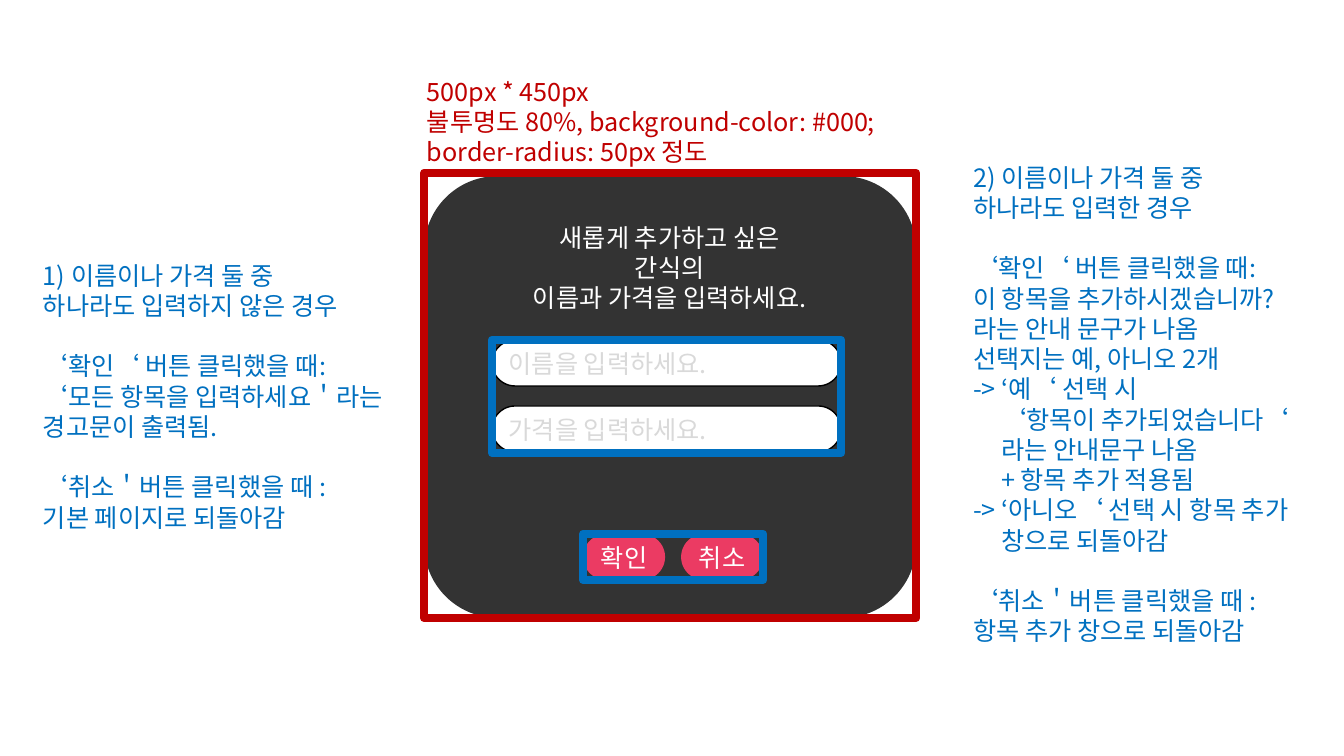
from pptx import Presentation, util as u
from pptx.dml.color import RGBColor
from pptx.enum import shapes, text
from pptx.oxml.ns import qn
from lxml import etree

PX = 9071
THEME = dict(font="Noto Sans CJK KR", size=18, gap=21.6, indent=28,
             black="000000", white="FFFFFF", hint="D9D9D9",
             pink="EB3B63", red="C00000", blue="0070C0")
LEFT, CENTER = text.PP_ALIGN.LEFT, text.PP_ALIGN.CENTER
RECT, ROUND = shapes.MSO_SHAPE.RECTANGLE, shapes.MSO_SHAPE.ROUNDED_RECTANGLE

prs = Presentation()
prs.slide_width, prs.slide_height = u.Inches(13.33), u.Inches(7.5)
s = prs.slides.add_slide(prs.slide_layouts[6])


def write(sp, lines, color, align=LEFT, anchor=text.MSO_ANCHOR.TOP, wrap=True):
    tf = sp.text_frame
    for key, value in dict(word_wrap=wrap, vertical_anchor=anchor).items():
        setattr(tf, key, value)
    gap = False
    for line in lines:
        if not line:
            gap = True
            continue
        p = tf.paragraphs[0] if not tf.text else tf.add_paragraph()
        p.alignment = align
        if gap:
            p.space_before = u.Pt(THEME["gap"])
            gap = False
        if line.startswith("\t"):
            p._p.get_or_add_pPr().set("marL", str(THEME["indent"] * PX))
        r = p.add_run()
        r.text = line.strip()
        for key, value in dict(name=THEME["font"], size=u.Pt(THEME["size"])).items():
            setattr(r.font, key, value)
        r.font.color.rgb = RGBColor.from_string(THEME[color])
        etree.SubElement(r._r.get_or_add_rPr(), qn("a:ea")).set("typeface", THEME["font"])


def shape(kind, box, fill=None, line=None, width=1):
    sp = s.shapes.add_shape(kind, *[v * PX for v in box])
    sp.shadow.inherit = False
    if fill:
        sp.fill.solid()
        sp.fill.fore_color.rgb = RGBColor.from_string(THEME[fill])
    else:
        sp.fill.background()
    if line:
        sp.line.color.rgb = RGBColor.from_string(THEME[line])
        sp.line.width = u.Pt(width)
    else:
        sp.line.fill.background()
    return sp


dialog = shape(ROUND, (424, 176, 492, 442), "black")
color = dialog.fill._xPr.find(qn("a:solidFill"))[0]
etree.SubElement(color, qn("a:alpha")).set("val", "80000")

title = s.shapes.add_textbox(*[v * PX for v in (515, 217, 309, 71)])
write(title, ["새롭게 추가하고 싶은 간식의", "이름과 가격을 입력하세요."], "white", CENTER)

fields = [((492, 340 + 66 * i, 349, 46), hint, "white", "black", "hint", LEFT)
          for i, hint in enumerate(["이름을 입력하세요.", "가격을 입력하세요."])]
buttons = [((583 + 98 * i, 534, 82, 46), label, "pink", None, "white", CENTER)
           for i, label in enumerate(["확인", "취소"])]
for box, label, fill, line, ink, align in fields + buttons:
    pill = shape(ROUND, box, fill, line)
    pill.adjustments[0] = 0.5
    write(pill, [label], ink, align, text.MSO_ANCHOR.MIDDLE)

for box, line in [((424, 173, 492, 445), "red"),
                  ((492, 340, 349, 113), "blue"),
                  ((583, 534, 180, 46), "blue")]:
    shape(RECT, box, line=line, width=6)

notes = [
    ((417, 71, 478, 102), "red", [
        "500px * 450px",
        "불투명도 80%, background-color: #000;",
        "border-radius: 50px 정도"]),
    ((33, 255, 375, 285), "blue", [
        "1) 이름이나 가격 둘 중",
        "하나라도 입력하지 않은 경우",
        "",
        "‘확인‘ 버튼 클릭했을 때:",
        "‘모든 항목을 입력하세요＇라는",
        "경고문이 출력됨.",
        "",
        "‘취소＇버튼 클릭했을 때 :",
        "기본 페이지로 되돌아감"]),
    ((963, 157, 360, 499), "blue", [
        "2) 이름이나 가격 둘 중",
        "하나라도 입력한 경우",
        "",
        "‘확인‘ 버튼 클릭했을 때:",
        "이 항목을 추가하시겠습니까?",
        "라는 안내 문구가 나옴",
        "선택지는 예, 아니오 2개",
        "-> ‘예‘ 선택 시",
        "\t‘항목이 추가되었습니다‘",
        "\t라는 안내문구 나옴",
        "\t+ 항목 추가 적용됨",
        "-> ‘아니오‘ 선택 시 항목 추가",
        "\t창으로 되돌아감",
        "",
        "‘취소＇버튼 클릭했을 때 :",
        "항목 추가 창으로 되돌아감"]),
]
for box, ink, lines in notes:
    note = s.shapes.add_textbox(*[v * PX for v in box])
    write(note, lines, ink, wrap=False)

prs.save("out.pptx")
